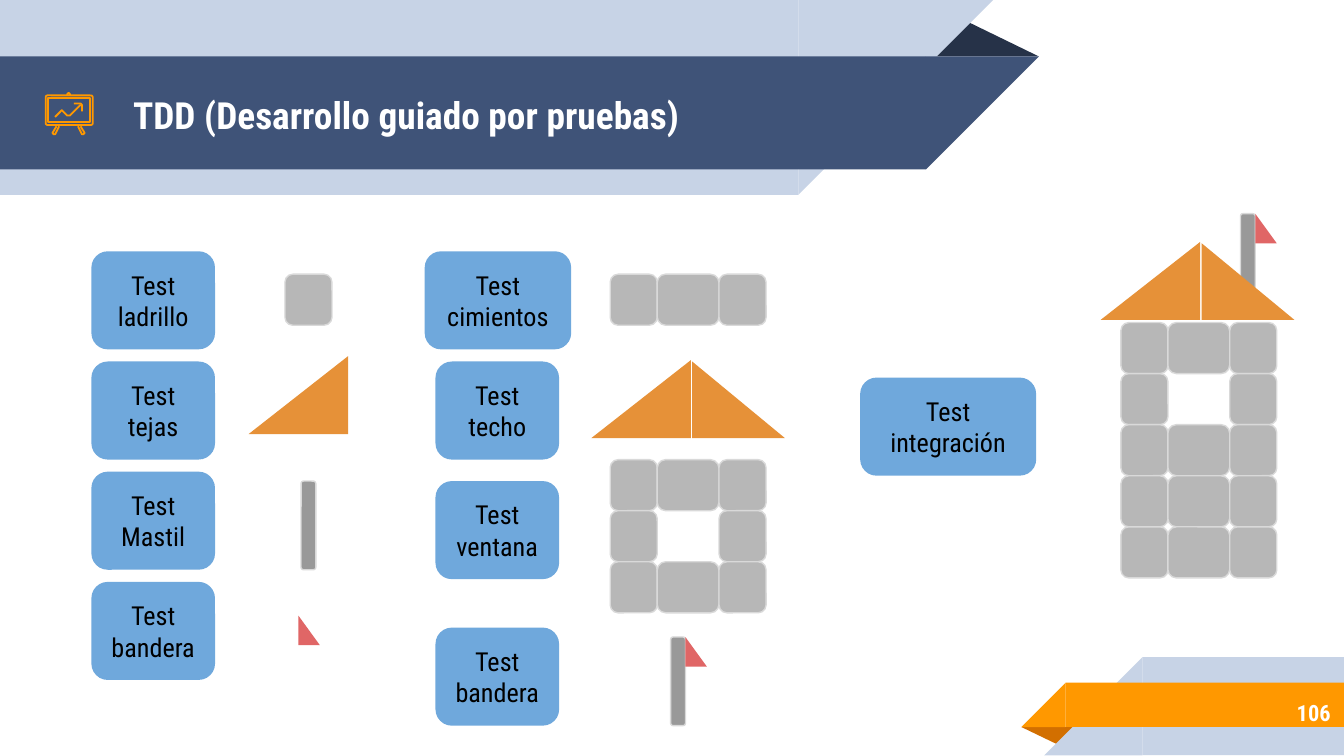
from dataclasses import dataclass

from pptx import Presentation
from pptx.dml.color import RGBColor
from pptx.enum.shapes import MSO_SHAPE
from pptx.enum.text import MSO_ANCHOR, MSO_AUTO_SIZE, PP_ALIGN
from pptx.util import Inches, Pt


@dataclass(frozen=True)
class Theme:
    font: str = "Roboto Condensed"
    title_size: float = 20
    label_size: float = 14
    number_size: float = 12
    white: str = "FFFFFF"
    black: str = "000000"
    pale: str = "C7D3E6"
    navy: str = "3F5378"
    navy_fold: str = "263248"
    orange: str = "FF9800"
    orange_fold: str = "D26F00"
    label: str = "6FA8DC"
    brick: str = "B7B7B7"
    pole: str = "999999"
    edge: str = "D9D9D9"
    tile: str = "E69138"
    flag: str = "E06666"
    edge_width: float = 0.75
    icon_width: float = 0.96


THEME = Theme()
BRICK_WIDTHS = (0.35, 0.46, 0.35)
BRICK_HEIGHT = 0.38
POLE_WIDTH, POLE_HEIGHT = 0.11, 0.66
LABEL_HEIGHT = 0.73


def paint(shape, fill=None, line=None, line_width=THEME.edge_width):
    shape.shadow.inherit = False
    if fill:
        shape.fill.solid()
        shape.fill.fore_color.rgb = RGBColor.from_string(fill)
    else:
        shape.fill.background()
    if line:
        shape.line.color.rgb = RGBColor.from_string(line)
        shape.line.width = Pt(line_width)
    else:
        shape.line.fill.background()
    return shape


def add_block(page, kind, left, top, width, height, fill=None, **line):
    shape = page.shapes.add_shape(
        kind, Inches(left), Inches(top), Inches(width), Inches(height))
    return paint(shape, fill, **line)


def add_corner(page, left, top, width, height, fill, turn=0):
    """Right triangle filling a box; turn 0, 90, 270 puts the right angle
    at bottom left, top left, bottom right."""
    across, down = (height, width) if turn else (width, height)
    shape = add_block(page, MSO_SHAPE.RIGHT_TRIANGLE,
                      left + (width - across) / 2, top + (height - down) / 2,
                      across, down, fill)
    shape.rotation = turn


def write_text(box, text, *, size, color, bold=False, align=PP_ALIGN.LEFT):
    frame = box.text_frame
    frame.text = text
    frame.word_wrap = True
    frame.auto_size = MSO_AUTO_SIZE.NONE
    frame.vertical_anchor = MSO_ANCHOR.MIDDLE
    frame.margin_left = frame.margin_right = Inches(0.1)
    frame.margin_top = frame.margin_bottom = Inches(0.1)
    for para in frame.paragraphs:
        para.alignment = align
        for span in para.runs:
            span.font.name = THEME.font
            span.font.size = Pt(size)
            span.font.bold = bold
            span.font.color.rgb = RGBColor.from_string(color)


def add_fold(page, left, top, width, height, fill, turn=0):
    shape = add_block(page, MSO_SHAPE.ISOSCELES_TRIANGLE,
                      left, top, width, height, fill)
    shape.adjustments[0] = 0.324
    shape.rotation = turn


# Bands at the top, with the title in front of them
def add_header(page, title):
    add_fold(page, 6.88, 0.14, 0.85, 0.28, THEME.navy_fold)
    for top, width, height, fill in ((0, 5.94, 1.45, THEME.pale),
                                     (0.42, 6.89, 0.84, THEME.navy)):
        add_block(page, MSO_SHAPE.RECTANGLE, 0, top, width, height, fill)
        add_corner(page, width, top, height, height, fill, turn=90)
    box = page.shapes.title
    box.left, box.top = Inches(0.89), Inches(0.43)
    box.width, box.height = Inches(5.75), Inches(0.84)
    write_text(box, title, size=THEME.title_size, color=THEME.white, bold=True)
    box.element.getparent().append(box.element)


# Bands at the bottom right, with the page number
def add_footer(page, number):
    add_fold(page, 7.6, 5.41, 0.43, 0.14, THEME.orange_fold, turn=180)
    for left, top, height, fill in ((7.77, 4.89, 0.73, THEME.pale),
                                    (7.6, 5.08, 0.33, THEME.orange)):
        start = left + height
        add_block(page, MSO_SHAPE.RECTANGLE,
                  start, top, 10 - start, height, fill)
        add_corner(page, left, top, height, height, fill, turn=270)
    box = page.shapes.add_textbox(
        Inches(8.37), Inches(5.13), Inches(1.63), Inches(0.35))
    write_text(box, number, size=THEME.number_size, color=THEME.white,
               bold=True, align=PP_ALIGN.RIGHT)


# Outlined chart board beside the title
def add_board_icon(page, left, top):
    pen = {"line": THEME.orange, "line_width": THEME.icon_width}
    board = add_block(page, MSO_SHAPE.ROUNDED_RECTANGLE,
                      left, top + 0.02, 0.35, 0.22, **pen)
    board.adjustments[0] = 0.06
    add_block(page, MSO_SHAPE.RECTANGLE,
              left + 0.02, top + 0.04, 0.31, 0.18, **pen)
    strokes = (
        ((0.16, 0.02), (0.16, 0.01), (0.17, 0), (0.18, 0.01), (0.18, 0.02)),
        ((0.08, 0.25), (0.05, 0.3), (0.06, 0.31), (0.07, 0.31), (0.1, 0.25)),
        ((0.24, 0.25), (0.27, 0.31), (0.28, 0.31), (0.29, 0.3), (0.26, 0.25)),
        ((0.07, 0.18), (0.12, 0.13), (0.16, 0.17), (0.18, 0.17), (0.26, 0.09)),
        ((0.21, 0.08), (0.26, 0.08), (0.27, 0.09), (0.27, 0.14)),
    )
    for stroke in strokes:
        points = [(Inches(left + x), Inches(top + y)) for x, y in stroke]
        builder = page.shapes.build_freeform(*points[0])
        builder.add_line_segments(points[1:], close=False)
        paint(builder.convert_to_shape(), **pen)


# Parts of the house
def add_brick(page, left, top, width=BRICK_WIDTHS[0]):
    add_block(page, MSO_SHAPE.ROUNDED_RECTANGLE, left, top, width,
              BRICK_HEIGHT, THEME.brick, line=THEME.edge)


def add_wall(page, left, top, rows):
    """Rows of bricks; a dot in a row leaves a gap."""
    for row, pattern in enumerate(rows):
        for column, mark in enumerate(pattern):
            if mark != ".":
                add_brick(page, left + sum(BRICK_WIDTHS[:column]),
                          top + row * BRICK_HEIGHT, BRICK_WIDTHS[column])


def add_tile(page, left, top):
    add_corner(page, left, top, 0.74, 0.58, THEME.tile, turn=270)


def add_roof(page, left, top):
    add_tile(page, left, top)
    add_corner(page, left + 0.75, top + 0.01, 0.69, 0.57, THEME.tile)


def add_pole(page, left, top):
    add_block(page, MSO_SHAPE.ROUNDED_RECTANGLE, left, top, POLE_WIDTH,
              POLE_HEIGHT, THEME.pole, line=THEME.edge)


def add_flag(page, left, top):
    add_corner(page, left, top, 0.16, 0.22, THEME.flag)


def add_flagpole(page, left, top):
    add_pole(page, left, top)
    add_flag(page, left + POLE_WIDTH, top)


def add_label(page, text, left, top, width=0.92):
    box = add_block(page, MSO_SHAPE.ROUNDED_RECTANGLE,
                    left, top, width, LABEL_HEIGHT, THEME.label)
    write_text(box, text, size=THEME.label_size, color=THEME.black,
               align=PP_ALIGN.CENTER)


# Left column: tests of single parts
def add_unit_tests(page, left, top):
    for row, name in enumerate(("ladrillo", "tejas", "Mastil", "bandera")):
        add_label(page, f"Test {name}", left, top + row * 0.82)
    add_brick(page, left + 1.44, top + 0.17)
    add_tile(page, left + 1.17, top + 0.78)
    add_pole(page, left + 1.56, top + 1.71)
    add_flag(page, left + 1.54, top + 2.71)


# Middle column: tests of assembled parts
def add_assembly_tests(page, left, top):
    add_label(page, "Test cimientos", left, top, width=1.09)
    for text, offset in (("Test techo", 0.82), ("Test\nventana", 1.71),
                         ("Test\nbandera", 2.8)):
        add_label(page, text, left + 0.08, top + offset)
    add_wall(page, left + 1.38, top + 0.17, ["###"])
    add_roof(page, left + 1.24, top + 0.81)
    add_wall(page, left + 1.38, top + 1.55, ["###", "#.#", "###"])
    add_flagpole(page, left + 1.83, top + 2.87)


# Right column: test of the whole house
def add_integration_test(page, left, top):
    add_label(page, "Test\nintegración", left, top + 1.22, width=1.31)
    add_flagpole(page, left + 2.83, top)
    add_roof(page, left + 1.79, top + 0.21)
    add_wall(page, left + 1.94, top + 0.81,
             ["###", "#.#", "###", "###", "###"])


def main():
    deck = Presentation()
    deck.slide_width = Inches(10)
    deck.slide_height = deck.slide_width * 9 // 16
    page = deck.slides.add_slide(deck.slide_layouts.get_by_name("Title Only"))
    add_header(page, "TDD (Desarrollo guiado por pruebas)")
    add_footer(page, "106")
    add_board_icon(page, 0.34, 0.69)
    add_unit_tests(page, 0.68, 1.87)
    add_assembly_tests(page, 3.16, 1.87)
    add_integration_test(page, 6.4, 1.59)
    deck.save("out.pptx")


if __name__ == "__main__":
    main()
